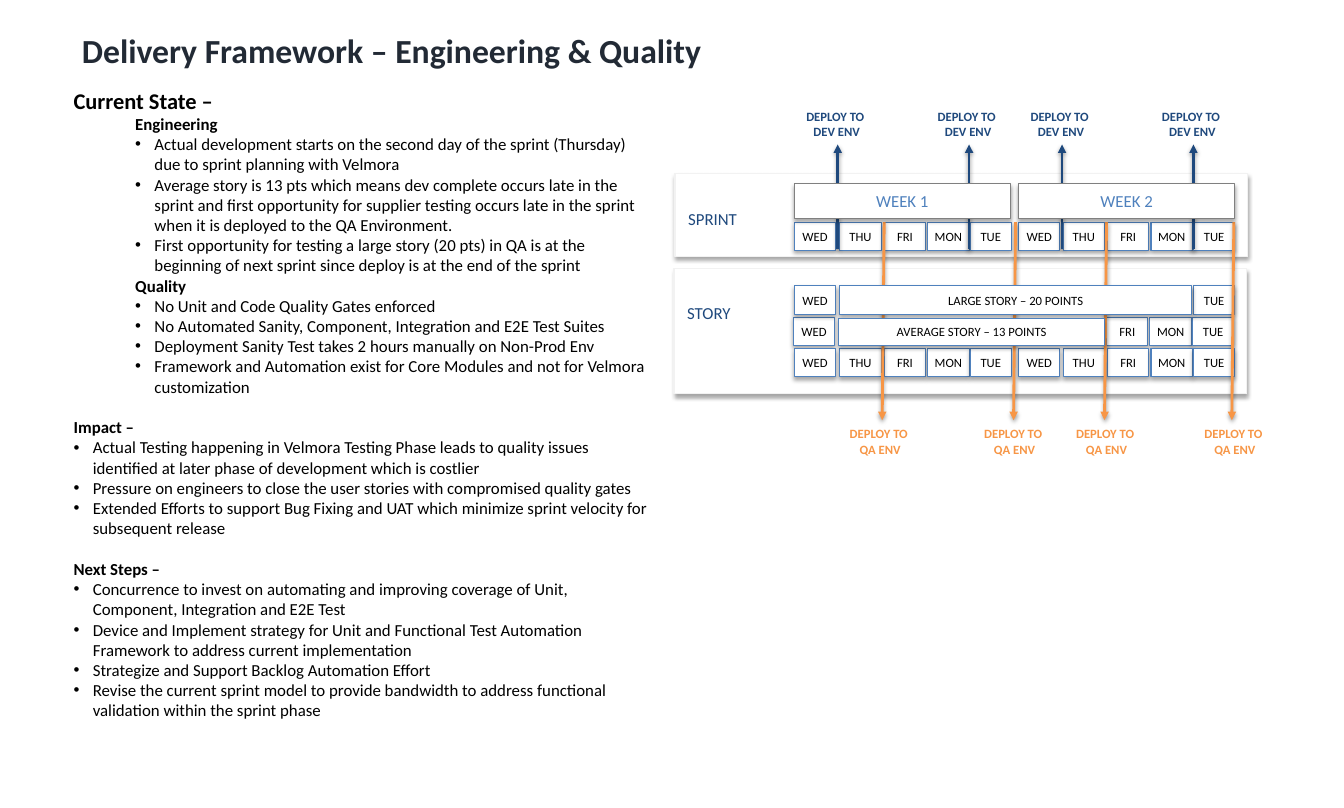
from lxml import etree
from pptx import Presentation
from pptx import util as u
from pptx.dml.color import RGBColor
from pptx.enum import shapes, text
from pptx.oxml import ns

COLORS = {"title": "222A35", "black": "000000", "white": "FFFFFF", "panel": "F2F2F2",
          "navy": "1F497D", "blue": "4F81BD", "gray": "808080", "orange": "F79646"}


def color(name):
    return RGBColor.from_string(COLORS[name])


def add_xml(parent, tag, **attributes):
    return etree.SubElement(parent, ns.qn(tag), attributes)


class Board:
    font = "Calibri"

    def __init__(self, slide):
        self.slide = slide

    def style(self, paragraph, size, ink, bold=False, align=None):
        paragraph.alignment = align
        font = paragraph.font
        font.name, font.size, font.bold = self.font, u.Pt(size), bold
        font.color.rgb = color(ink)

    def shadow(self, shape, opacity, distance):
        effects = add_xml(shape.element.spPr, "a:effectLst")
        outer = add_xml(effects, "a:outerShdw", blurRad=str(u.Pt(3.1)), dist=str(u.Pt(distance)),
                        dir="5400000", rotWithShape="0")
        black = add_xml(outer, "a:srgbClr", val=COLORS["black"])
        add_xml(black, "a:alpha", val=str(opacity * 1000))

    def frame(self, left, top, width, height, inset=(0.1, 0.05), anchor=text.MSO_ANCHOR.TOP):
        box = self.slide.shapes.add_textbox(*map(u.Inches, (left, top, width, height)))
        return self.set_frame(box.text_frame, inset, anchor)

    def set_frame(self, frame, inset, anchor):
        frame.word_wrap = True
        frame.vertical_anchor = anchor
        frame.margin_left = frame.margin_right = u.Inches(inset[0])
        frame.margin_top = frame.margin_bottom = u.Inches(inset[1])
        return frame

    def label(self, place, lines, size, ink, bold=False, align=None, **frame_options):
        frame = self.frame(*place, **frame_options)
        for index, line in enumerate(lines):
            paragraph = frame.add_paragraph() if index else frame.paragraphs[0]
            paragraph.text = line
            self.style(paragraph, size, ink, bold, align)

    def box(self, left, top, width, height, caption="", line="blue", size=9, ink="black",
            inset=(0, 0.05)):
        shape = self.slide.shapes.add_shape(
            shapes.MSO_SHAPE.RECTANGLE, *map(u.Inches, (left, top, width, height)))
        shape.fill.solid()
        shape.fill.fore_color.rgb = color("white")
        shape.line.color.rgb = color(line)
        shape.line.width = u.Pt(0.75)
        self.shadow(shape, 35, 1.8)
        if caption:
            frame = self.set_frame(shape.text_frame, inset, text.MSO_ANCHOR.MIDDLE)
            frame.text = caption
            self.style(frame.paragraphs[0], size, ink, align=text.PP_ALIGN.CENTER)

    def arrow(self, start, end, ink, arrow_end):
        connector = self.slide.shapes.add_connector(
            shapes.MSO_CONNECTOR.STRAIGHT, *map(u.Inches, start + end))
        connector.line.color.rgb = color(ink)
        connector.line.width = u.Pt(2)
        add_xml(connector.line._get_or_add_ln(), arrow_end, type="triangle")
        self.shadow(connector, 38, 1.6)

    def outline(self, place, items):
        frame = self.frame(*place)
        for index, (kind, content) in enumerate(items):
            size, bold, margin, hanging, before = OUTLINE_STYLES[kind]
            paragraph = frame.add_paragraph() if index else frame.paragraphs[0]
            paragraph.text = content
            paragraph.space_before = u.Pt(before)
            properties = paragraph._p.get_or_add_pPr()
            properties.set("marL", str(u.Inches(margin)))
            properties.set("indent", str(u.Inches(-hanging)))
            if hanging:
                add_xml(properties, "a:buFont", typeface="Arial")
                add_xml(properties, "a:buChar", char="•")
            self.style(paragraph, size, "black", bold)


# Kind: size, bold, left margin, hanging indent, space before
OUTLINE_STYLES = {
    "heading": (16, True, 0, 0, 0),
    "section": (12, True, 0, 0, 14.6),
    "topic": (12, True, 0.61, 0, 0),
    "detail": (12, False, 0.8, 0.19, 0),
    "point": (12, False, 0.19, 0.19, 0),
}
OUTLINE = [
    ("heading", "Current State – "),
    ("topic", "Engineering"),
    ("detail", "Actual development starts on the second day of the sprint (Thursday) due to "
               "sprint planning with Velmora"),
    ("detail", "Average story is 13 pts which means dev complete occurs late in the sprint and "
               "first opportunity for supplier testing occurs late in the sprint when it is "
               "deployed to the QA Environment."),
    ("detail", "First opportunity for testing a large story (20 pts) in QA is at the beginning "
               "of next sprint since deploy is at the end of the sprint"),
    ("topic", "Quality"),
    ("detail", "No Unit and Code Quality Gates enforced"),
    ("detail", "No Automated Sanity, Component, Integration and E2E Test Suites"),
    ("detail", "Deployment Sanity Test takes 2 hours manually on Non-Prod Env"),
    ("detail", "Framework and Automation exist for Core Modules and not for Velmora "
               "customization"),
    ("section", "Impact – "),
    ("point", "Actual Testing happening in Velmora Testing Phase leads to quality issues "
              "identified at later phase of development which is costlier"),
    ("point", "Pressure on engineers to close the user stories with compromised quality gates"),
    ("point", "Extended Efforts to support Bug Fixing and UAT which minimize sprint velocity "
              "for subsequent release"),
    ("section", "Next Steps – "),
    ("point", "Concurrence to invest on automating and improving coverage of Unit, Component, "
              "Integration and E2E Test"),
    ("point", "Device and Implement strategy for Unit and Functional Test Automation Framework "
              "to address current implementation"),
    ("point", "Strategize and Support Backlog Automation Effort"),
    ("point", "Revise the current sprint model to provide bandwidth to address functional "
              "validation within the sprint phase"),
]
DAYS = ["WED", "THU", "FRI", "MON", "TUE"] * 2
DAY_LEFTS = [7.86, 8.31, 8.75, 9.18, 9.6, 10.08, 10.52, 10.96, 11.39, 11.81]
TIGHT = (0.08, 0.04)

presentation = Presentation()
presentation.slide_width, presentation.slide_height = u.Inches(13.3), u.Inches(8)
slide = presentation.slides.add_slide(presentation.slide_layouts[6])
board = Board(slide)


def day_row(top, columns=range(10), shift=0):
    for column in columns:
        board.box(DAY_LEFTS[column] + shift, top, 0.41, 0.28, DAYS[column])


def deploy_label(left, top, environment, ink):
    board.label((left, top, 0.9, 0.38), ["DEPLOY TO ", environment], 9, ink, True,
                text.PP_ALIGN.CENTER, inset=TIGHT)


# Title
board.label((0.69, 0.22, 11.96, 0.56), ["Delivery Framework – Engineering & Quality"], 24,
            "title", True, inset=(0.12, 0.06), anchor=text.MSO_ANCHOR.MIDDLE)

# Sprint panel with its days
board.box(6.68, 1.72, 5.67, 0.82, line="panel")
board.label((6.73, 2.03, 1.12, 0.28), ["SPRINT"], 12, "navy", inset=TIGHT)
day_row(2.2)

# Deployments to the development environment
for x in (8.29, 9.59, 10.51, 11.81):
    board.arrow((x, 1.43), (x, 2.47), "navy", "a:headEnd")
    deploy_label(x - 0.46, 1.04, "DEV ENV", "navy")

# Story panel with its days
board.box(6.67, 2.66, 5.67, 1.24, line="panel")
board.label((6.72, 2.96, 1.12, 0.28), ["STORY"], 12, "navy", inset=TIGHT)
day_row(3.14, (0, 7, 8, 9), shift=-0.01)
day_row(2.83, (0, 9))
day_row(3.45)

# Deployments to the test environment
for x, label_left in ((8.75, 8.26), (10.05, 9.59), (10.95, 10.5), (12.21, 11.77)):
    board.arrow((x, 2.2), (x - 0.02, 4.16), "orange", "a:tailEnd")
    deploy_label(label_left, 4.18, "QA ENV", "orange")

# Story bars and week bars
board.box(8.31, 2.83, 3.48, 0.28, "LARGE STORY – 20 POINTS")
board.box(8.3, 3.15, 2.63, 0.27, "AVERAGE STORY – 13 POINTS")
for week, left in enumerate((7.86, 10.08), start=1):
    board.box(left, 1.82, 2.14, 0.34, f"WEEK {week}", "gray", 12, "blue", (0.1, 0.05))

# Outline on the left
board.outline((0.63, 0.81, 5.88, 7.1), OUTLINE)

presentation.save("out.pptx")
